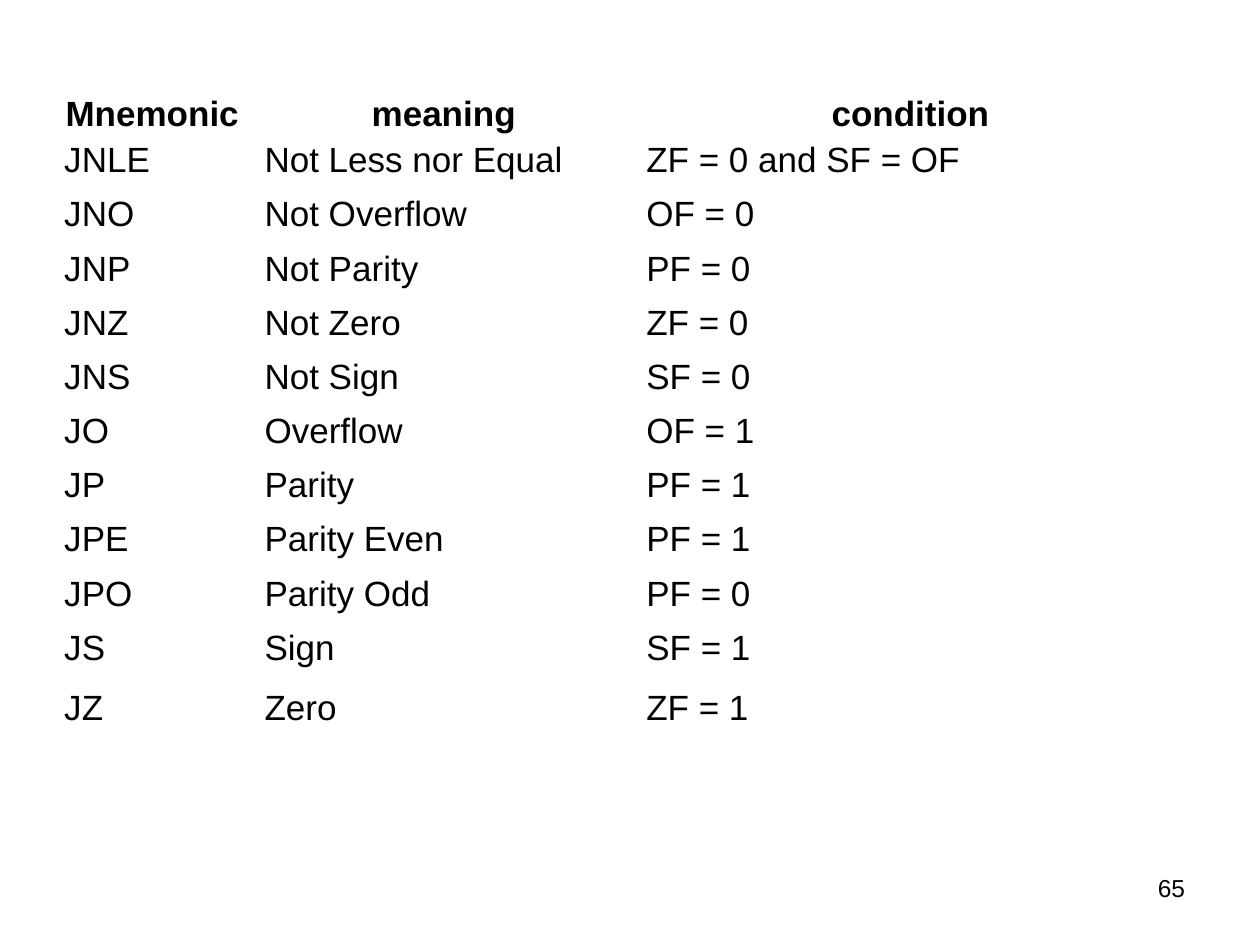
from dataclasses import dataclass
from pptx import Presentation
from pptx.dml.color import RGBColor as Rgb
from pptx.enum.text import MSO_ANCHOR as Anchor, MSO_AUTO_SIZE as Fit
from pptx.util import Inches, Pt


@dataclass(frozen=True)
class Theme:
    font: str = "Arial"
    ink: Rgb = Rgb(0, 0, 0)
    page: Rgb = Rgb(255, 255, 255)
    body: int = 20
    small: int = 14
    plain: str = "{2D5ABB26-0587-4C30-8999-92F81FD0307C}"


def write(frame, text, theme, size, bold=False, indent=0, spacing=None):
    frame.word_wrap = True
    para = frame.paragraphs[0]
    props = para._p.get_or_add_pPr()
    props.set("marL", str(Inches(indent)))
    props.set("indent", "0")
    if spacing:
        para.line_spacing = spacing
    run = para.add_run()
    run.text = text
    font = run.font
    font.name, font.size, font.bold = theme.font, Pt(size), bold
    font.color.rgb = theme.ink


class Deck:
    def __init__(self, theme, slide):
        self.theme = theme
        self.slide = slide
        fill = slide.background.fill
        fill.solid()
        fill.fore_color.rgb = theme.page

    def table(self, left, top, widths, heights):
        shape = self.slide.shapes.add_table(
            len(heights), len(widths), Inches(left), Inches(top),
            Inches(sum(widths)), Inches(sum(heights)))
        grid = shape.table
        grid.first_row = grid.horz_banding = False
        grid._tbl.tblPr.find("{*}tableStyleId").text = self.theme.plain
        for col, width in zip(grid.columns, widths):
            col.width = Inches(width)
        for row, height in zip(grid.rows, heights):
            row.height = Inches(height)
        return grid

    def cell(self, cell, text, pad=0, **style):
        cell.margin_left = cell.margin_right = cell.margin_bottom = 0
        cell.margin_top = Inches(pad)
        cell.vertical_anchor = Anchor.TOP
        cell.fill.background()
        write(cell.text_frame, text, self.theme, self.theme.body, **style)

    def label(self, left, top, width, height, text, **style):
        box = self.slide.shapes.add_textbox(*map(Inches, (left, top, width, height)))
        frame = box.text_frame
        frame.margin_left = frame.margin_right = 0
        frame.margin_top = frame.margin_bottom = 0
        write(frame, text, self.theme, self.theme.small, **style)
        frame.auto_size = Fit.SHAPE_TO_FIT_TEXT


HEAD = ("Mnemonic", "meaning", "condition")
JUMPS = [
    ("JNLE", "Not Less nor Equal", "ZF = 0 and SF = OF"),
    ("JNO", "Not Overflow", "OF = 0"),
    ("JNP", "Not Parity", "PF = 0"),
    ("JNZ", "Not Zero", "ZF = 0"),
    ("JNS", "Not Sign", "SF = 0"),
    ("JO", "Overflow", "OF = 1"),
    ("JP", "Parity", "PF = 1"),
    ("JPE", "Parity Even", "PF = 1"),
    ("JPO", "Parity Odd", "PF = 0"),
    ("JS", "Sign", "SF = 1"),
    ("JZ", "Zero", "ZF = 1"),
]


def main():
    prs = Presentation()
    prs.slide_width, prs.slide_height = Inches(10), Inches(7.5)
    deck = Deck(Theme(), prs.slides.add_slide(prs.slide_layouts[6]))

    last = len(JUMPS)
    heights = [0.37] + [0.43] * (last - 1) + [0.37]
    grid = deck.table(0.48, 0.72, (1.52, 2.8, 3.09), heights)
    for col, (text, indent) in enumerate(zip(HEAD, (0.04, 0.95, 1.8))):
        deck.cell(grid.cell(0, col), text, bold=True, indent=indent, spacing=1.1)
    for row, jump in enumerate(JUMPS, 1):
        spacing = 1.16 if row == last else None
        for col, (text, indent) in enumerate(zip(jump, (0.03, 0.1, 0.33))):
            deck.cell(grid.cell(row, col), text, pad=0.03, indent=indent, spacing=spacing)

    deck.label(9.16, 6.89, 0.27, 0.25, "65", indent=0.03, spacing=1.17)
    prs.save("out.pptx")


if __name__ == "__main__":
    main()
